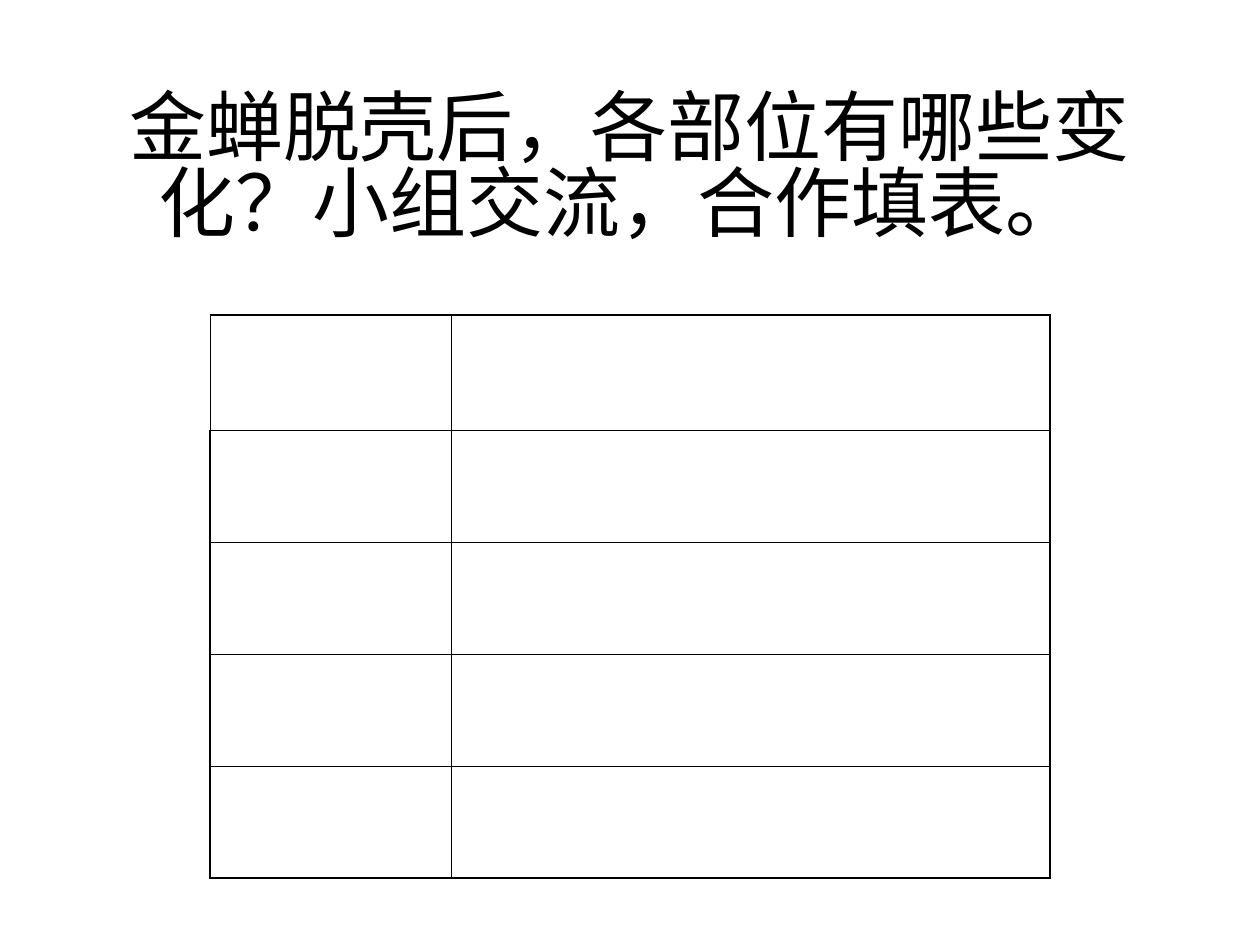
from lxml import etree
from pptx import Presentation
from pptx.dml.color import RGBColor
from pptx.enum.text import MSO_ANCHOR as Anchor, MSO_AUTO_SIZE as AutoSize, PP_ALIGN as Align
from pptx.oxml.ns import qn
from pptx.util import Pt

BLACK = RGBColor(0, 0, 0)
WHITE = RGBColor(255, 255, 255)
THICK, THIN = 1.08, 0.45


class WorksheetSlide:
    font = "Noto Sans CJK SC"

    def __init__(self, presentation):
        self.slide = presentation.slides.add_slide(presentation.slide_layouts[5])
        self.slide.background.fill.solid()
        self.slide.background.fill.fore_color.rgb = WHITE

    def title(self, text, left, top, width, height):
        shape = self.slide.shapes.title
        shape.left, shape.top = Pt(left), Pt(top)
        shape.width, shape.height = Pt(width), Pt(height)
        frame = shape.text_frame
        frame.text = text
        frame.word_wrap = True
        frame.auto_size = AutoSize.NONE
        frame.vertical_anchor = Anchor.MIDDLE
        frame.margin_top = Pt(12.6)
        paragraph = frame.paragraphs[0]
        paragraph.alignment = Align.CENTER
        paragraph.line_spacing = 0.83
        run_font = paragraph.runs[0].font
        run_font.name, run_font.size = self.font, Pt(44)
        run_font.color.rgb = BLACK
        # Chinese characters take the East Asian typeface
        etree.SubElement(run_font._element, qn("a:ea"), typeface=self.font)

    def border(self, cell, side, width):
        line = etree.SubElement(cell._tc.get_or_add_tcPr(), qn(f"a:ln{side}"),
                                w=str(Pt(width)))
        fill = etree.SubElement(line, qn("a:solidFill"))
        etree.SubElement(fill, qn("a:srgbClr"), val=str(BLACK))

    def table(self, left, top, widths, heights):
        rows, columns = len(heights), len(widths)
        table = self.slide.shapes.add_table(
            rows, columns, Pt(left), Pt(top), Pt(sum(widths)), Pt(sum(heights))).table
        table.first_row = table.horz_banding = False
        for column, width in zip(table.columns, widths):
            column.width = Pt(width)
        for row, height in zip(table.rows, heights):
            row.height = Pt(height)
        for r in range(rows):
            for c in range(columns):
                cell = table.cell(r, c)
                # Outer edges are thick, except beside the first row
                thick_sides = {"L": c == 0 and r > 0, "R": c == columns - 1,
                               "T": r == 0, "B": r == rows - 1}
                for side, thick in thick_sides.items():
                    self.border(cell, side, THICK if thick else THIN)
                cell.fill.background()


def main():
    presentation = Presentation()
    presentation.slide_width, presentation.slide_height = Pt(720), Pt(540)
    worksheet = WorksheetSlide(presentation)

    # Question
    worksheet.title("金蝉脱壳后，各部位有哪些变化？小组交流，合作填表。 ", 54, 48, 612, 90)

    # Blank table to fill in
    worksheet.table(120, 180, [138, 342], [66] + [64] * 4)

    presentation.save("out.pptx")


if __name__ == "__main__":
    main()
